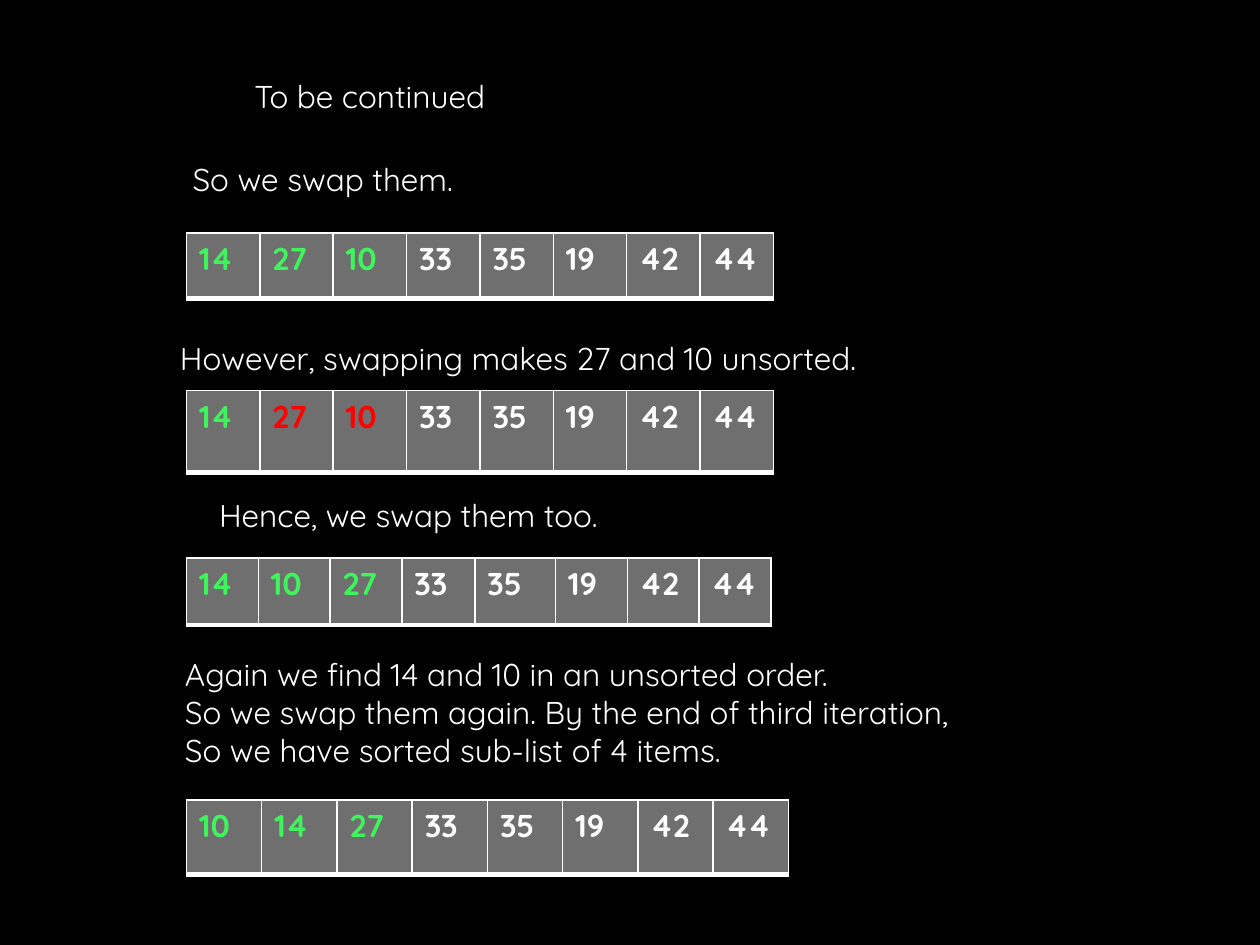
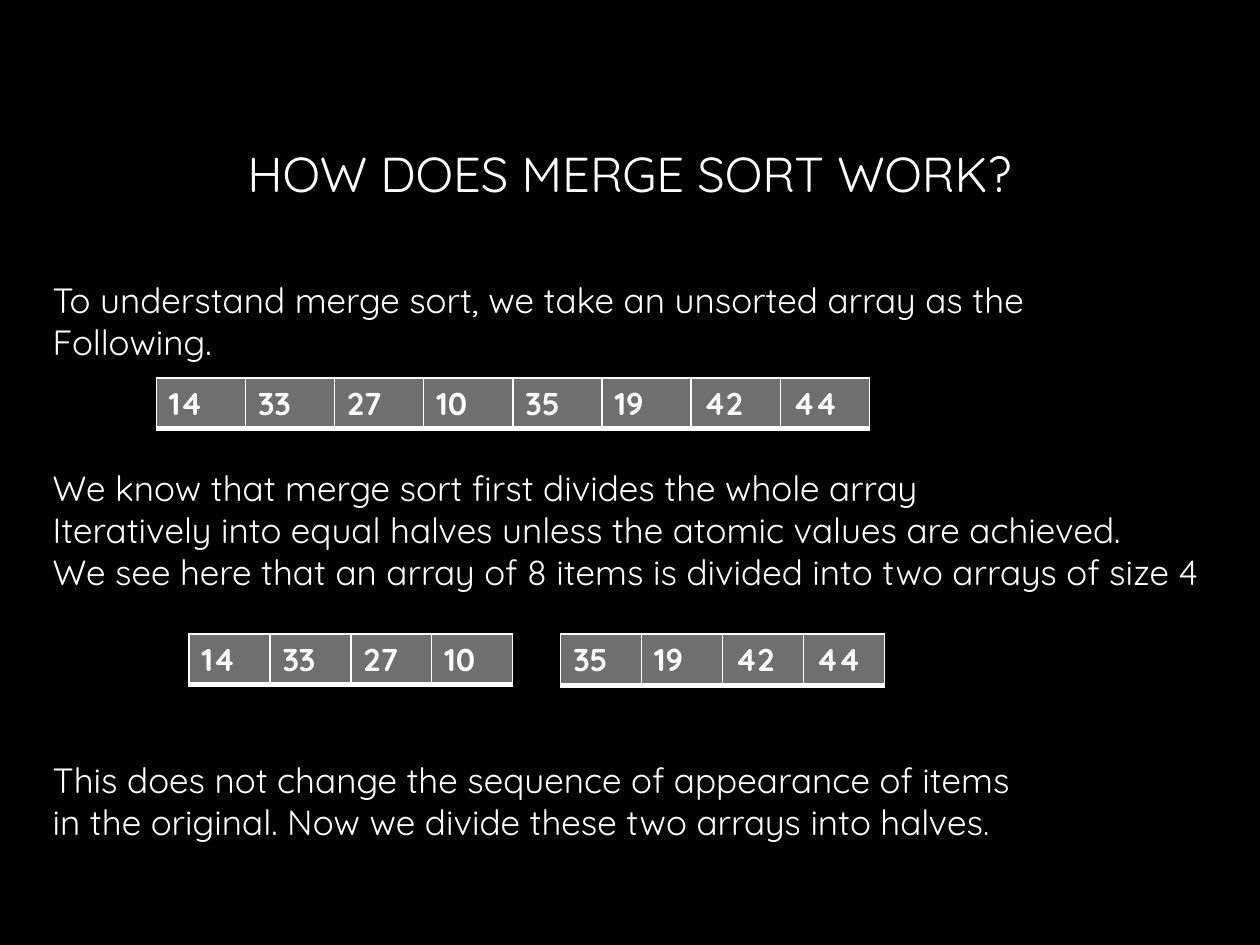
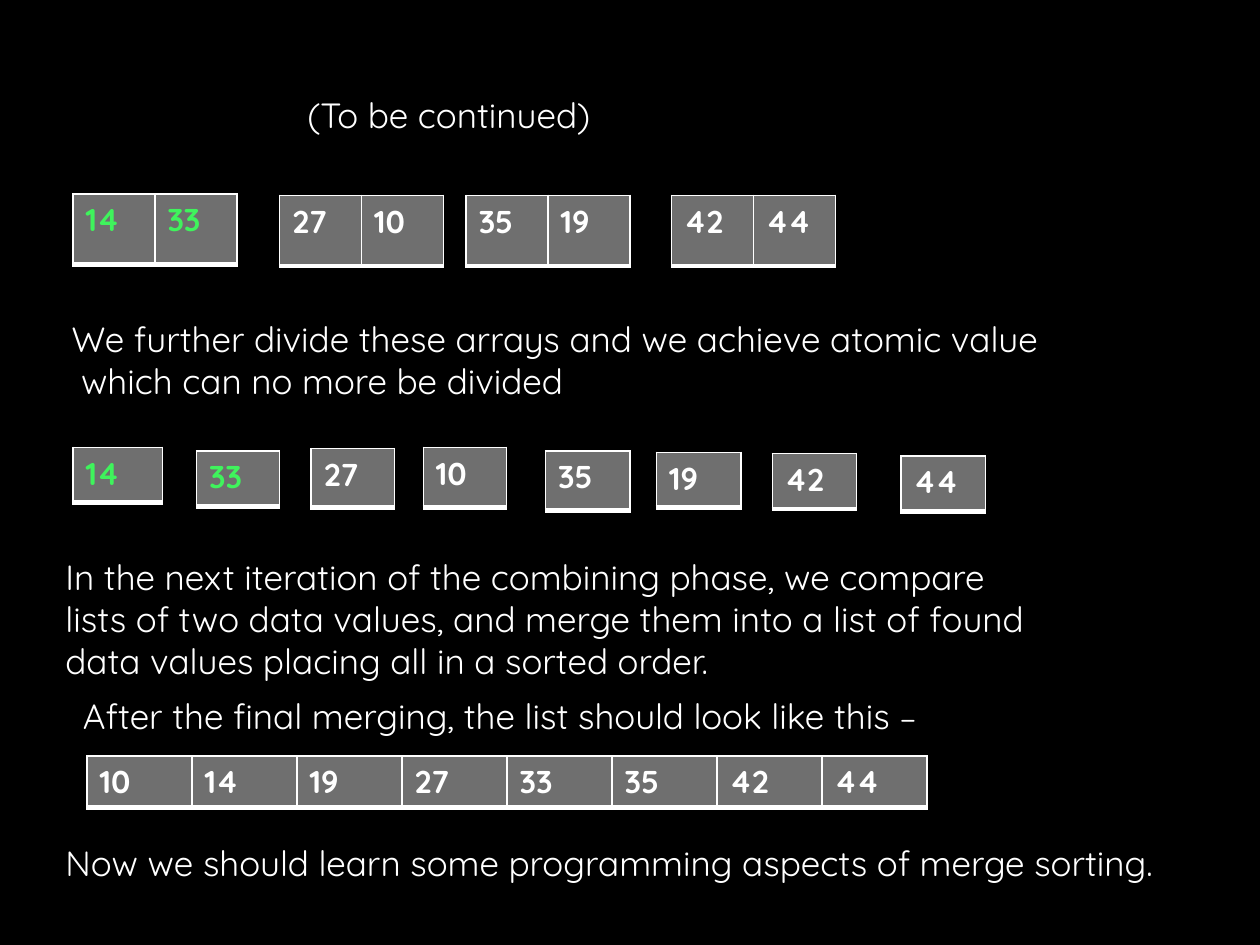
import pptx
import pptx.dml.color
import pptx.enum.text
import pptx.oxml
import pptx.oxml.ns
import pptx.util
from pptx.util import Inches

RGBColor = pptx.dml.color.RGBColor
BLACK = RGBColor(0x00, 0x00, 0x00)
WHITE = RGBColor(0xFF, 0xFF, 0xFF)
SILVER = RGBColor(0xBF, 0xBF, 0xBF)
GRAY = RGBColor(0x6F, 0x6F, 0x6F)
GREEN = RGBColor(0x3F, 0xF3, 0x5C)
RED = RGBColor(0xFF, 0x00, 0x00)

FONT = "Quicksand"
SMALL, BODY, TITLE = 18, 20, 28
LINE_HEIGHT = 1.21
BORDERS = (("lnL", 1), ("lnR", 1), ("lnT", 1), ("lnB", 3))

# Texts: left, top, width, lines, and a closing mark set in the small size.
# Arrays: left, top, width (or column widths), height, values, colours of the first values.
INSERTION_TEXTS = [
    (1.92, 0.56, 2.22, ["To be continued"], ""),
    (1.43, 1.22, 2.44, ["So we swap them."], ""),
    (1.33, 2.64, 5.98, ["However, swapping makes 27 and 10 unsorted."], ""),
    (1.64, 3.89, 3.53, ["Hence, we swap them too."], ""),
    (1.37, 5.15, 6.76, ["Again we find 14 and 10 in an unsorted order.",
                        "So we swap them again. By the end of third iteration,",
                        "So we have sorted sub-list of 4 items."], ""),
]
INSERTION_ARRAYS = [
    (1.48, 1.85, 4.66, 0.52, [14, 27, 10, 33, 35, 19, 42, 44], [GREEN] * 3),
    (1.48, 3.10, 4.66, 0.65, [14, 27, 10, 33, 35, 19, 42, 44], [GREEN, RED, RED]),
    (1.48, 4.43, [0.57, 0.57, 0.57, 0.58, 0.64, 0.57, 0.57, 0.57], 0.53,
     [14, 10, 27, 33, 35, 19, 42, 44], [GREEN] * 3),
    (1.48, 6.35, 4.78, 0.59, [10, 14, 27, 33, 35, 19, 42, 44], [GREEN] * 3),
]

MERGE_TITLE = "HOW DOES MERGE SORT WORK?"
MERGE_TEXTS = [
    (0.32, 2.16, 8.39, ["To understand merge sort, we take an unsorted array as the",
                        "Following."], ""),
    (0.32, 3.65, 9.65, ["We know that merge sort first divides the whole array",
                        "Iteratively into equal halves unless the atomic values are achieved.",
                        "We see here that an array of 8 items is divided into two arrays of size 4"], ""),
    (0.32, 5.97, 8.46, ["This does not change the sequence of appearance of items",
                        "in the original. Now we divide these two arrays into halves"], "."),
]
MERGE_ARRAYS = [
    (1.24, 3.00, 5.66, 0.40, [14, 33, 27, 10, 35, 19, 42, 44], []),
    (1.50, 5.03, 2.57, 0.40, [14, 33, 27, 10], []),
    (4.45, 5.03, 2.57, 0.41, [35, 19, 42, 44], []),
]

COMBINE_TEXTS = [
    (2.34, 0.69, 2.65, ["(To be continued)"], ""),
    (0.47, 2.47, 8.43, ["We further divide these arrays and we achieve atomic value",
                        " which can no more be divided"], ""),
    (0.42, 4.36, 8.28, ["In the next iteration of the combining phase, we compare",
                        "lists of two data values, and merge them into a list of found",
                        "data values placing all in a sorted order."], ""),
    (0.56, 5.46, 7.08, ["After the final merging, the list should look like this "], "−"),
    (0.42, 6.63, 9.31, ["Now we should learn some programming aspects of merge sorting."], ""),
]
COMBINE_ARRAYS = [
    (0.58, 1.54, 1.30, 0.56, [14, 33], [GREEN] * 2),
    (2.22, 1.55, 1.30, 0.56, [27, 10], []),
    (3.70, 1.55, 1.30, 0.56, [35, 19], []),
    (5.33, 1.55, 1.30, 0.56, [42, 44], []),
    (0.58, 3.55, 0.71, 0.44, [14], [GREEN]),
    (1.56, 3.58, 0.66, 0.44, [33], [GREEN]),
    (2.47, 3.56, 0.66, 0.47, [27], []),
    (3.36, 3.55, 0.66, 0.48, [10], []),
    (4.33, 3.58, 0.67, 0.47, [35], []),
    (5.21, 3.59, 0.67, 0.44, [19], []),
    (6.13, 3.60, 0.67, 0.44, [42], []),
    (7.15, 3.62, 0.67, 0.44, [44], []),
    (0.69, 6.00, 6.67, 0.41, [10, 14, 19, 27, 33, 35, 42, 44], []),
]

PAGES = [
    (None, SMALL, INSERTION_TEXTS, INSERTION_ARRAYS),
    (MERGE_TITLE, BODY, MERGE_TEXTS, MERGE_ARRAYS),
    (None, BODY, COMBINE_TEXTS, COMBINE_ARRAYS),
]


def style(span, size, color=WHITE, bold=False):
    span.font.name = FONT
    span.font.size = pptx.util.Pt(size)
    span.font.bold = bold
    span.font.color.rgb = color


def add_title(page, text):
    box = page.shapes.add_textbox(Inches(0.89), Inches(0.65), Inches(8.21), Inches(1.44))
    frame = box.text_frame
    frame.word_wrap = True
    frame.vertical_anchor = pptx.enum.text.MSO_ANCHOR.MIDDLE
    frame.text = text
    para = frame.paragraphs[0]
    para.alignment = pptx.enum.text.PP_ALIGN.CENTER
    span = para.runs[0]
    style(span, TITLE)
    span.font.fill.gradient()
    span.font.fill.gradient_angle = 270
    for stop, color in zip(span.font.fill.gradient_stops, (WHITE, SILVER)):
        stop.color.rgb = color


def add_text(page, size, left, top, width, lines, mark):
    height = 0.1 + len(lines) * size / 72 * LINE_HEIGHT
    box = page.shapes.add_textbox(Inches(left), Inches(top), Inches(width), Inches(height))
    frame = box.text_frame
    frame.word_wrap = False
    frame.auto_size = pptx.enum.text.MSO_AUTO_SIZE.SHAPE_TO_FIT_TEXT
    frame.text = "\n".join(lines)
    for para in frame.paragraphs:
        style(para.runs[0], size)
    if mark:
        span = frame.paragraphs[-1].add_run()
        span.text = mark
        style(span, SMALL)


def add_borders(cell):
    properties = cell._tc.get_or_add_tcPr()
    for tag, points in BORDERS:
        properties.append(pptx.oxml.parse_xml(
            f'<a:{tag} {pptx.oxml.ns.nsdecls("a")} w="{pptx.util.Pt(points)}">'
            f'<a:solidFill><a:srgbClr val="{WHITE}"/></a:solidFill></a:{tag}>'))


def add_array(page, left, top, width, height, values, accents):
    count = len(values)
    widths = width if isinstance(width, list) else [width / count] * count
    table = page.shapes.add_table(1, count, Inches(left), Inches(top),
                                  Inches(sum(widths)), Inches(height)).table
    table.first_row = False
    table.horz_banding = False
    colors = accents + [WHITE] * (count - len(accents))
    for column, column_width in enumerate(widths):
        table.columns[column].width = Inches(column_width)
        cell = table.cell(0, column)
        add_borders(cell)
        cell.fill.solid()
        cell.fill.fore_color.rgb = GRAY
        cell.text_frame.text = str(values[column])
        style(cell.text_frame.paragraphs[0].runs[0], SMALL, colors[column], bold=True)


def main():
    deck = pptx.Presentation()
    deck.slide_width, deck.slide_height = Inches(10), Inches(7.5)
    for title, size, texts, arrays in PAGES:
        page = deck.slides.add_slide(deck.slide_layouts[6])
        page.background.fill.solid()
        page.background.fill.fore_color.rgb = BLACK
        if title:
            add_title(page, title)
        for text in texts:
            add_text(page, size, *text)
        for array in arrays:
            add_array(page, *array)
    deck.save("out.pptx")


if __name__ == "__main__":
    main()
